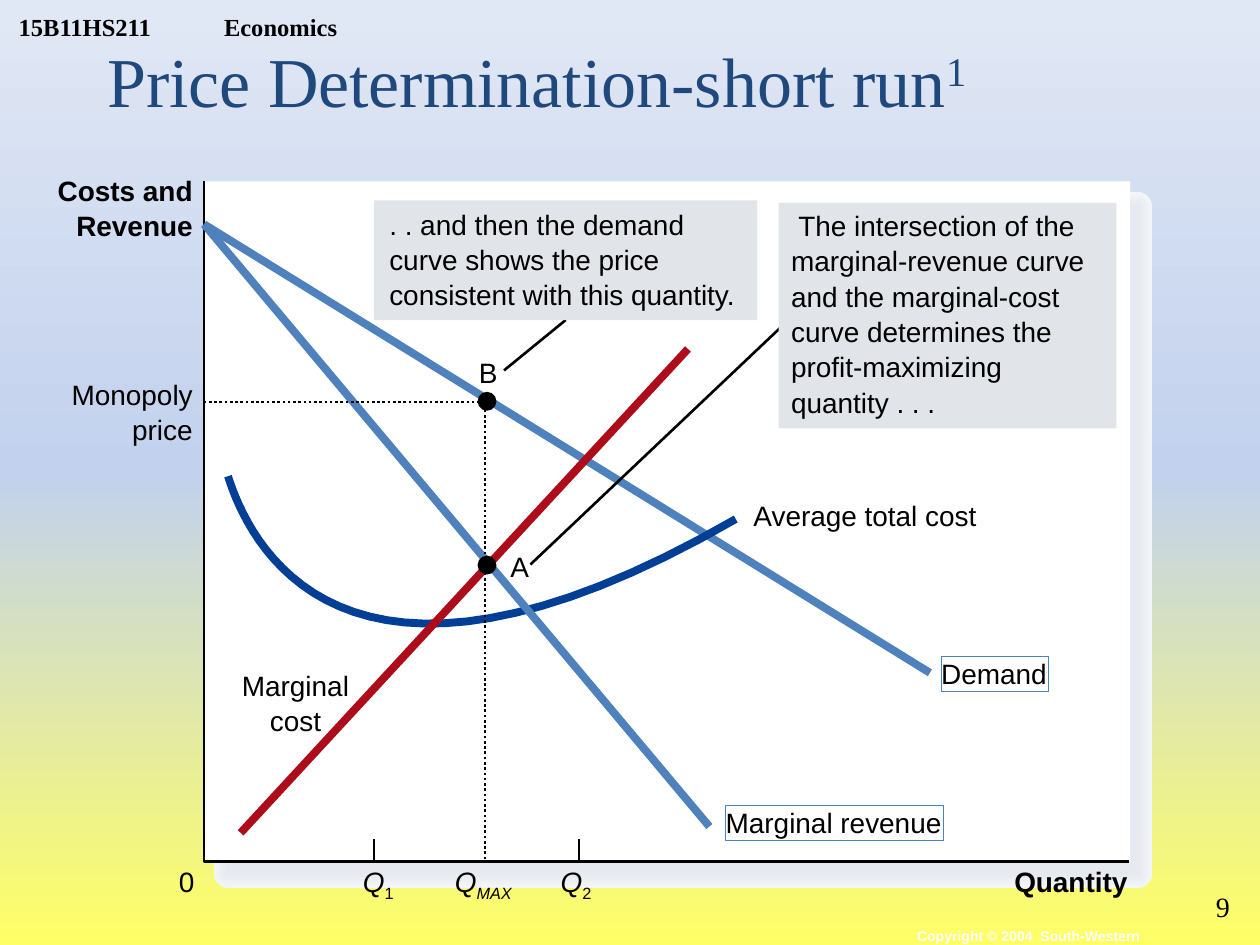
from copy import deepcopy

from lxml import etree
from pptx import Presentation
from pptx import util as u
from pptx.dml.color import RGBColor
from pptx.enum import dml, shapes, text
from pptx.oxml.ns import qn

COLORS = {
    "ink": "000000", "paper": "FFFFFF", "title": "1F497D", "callout": "E1E5E9",
    "revenue": "4F81BD", "total_cost": "003F95", "marginal_cost": "AD0D1B",
}
BACKGROUND = [(0, "FFFF66"), (50, "C2D1ED"), (100, "E1E8F5")]
SHADOW = ["F3F6F9", "F2F4F8", "F1F4F7", "F0F2F5", "EEF1F4", "EDEFF3",
          "EBEEF2", "EAECF1", "E9EBF0", "E7EAEF", "E6E9EF"]
COLUMNS, ROWS = 100, 75
LEFT, CENTER, RIGHT = text.PP_ALIGN.LEFT, text.PP_ALIGN.CENTER, text.PP_ALIGN.RIGHT
LABEL_HEIGHT, LINE_PITCH = 2.7, 20.2


class Board:
    """Style and current slide; positions are columns and rows of a grid."""

    sans, serif = "Arial", "Times New Roman"

    def __init__(self, presentation):
        self.slide = presentation.slides.add_slide(presentation.slide_layouts[5])
        self.column = presentation.slide_width / COLUMNS
        self.row = presentation.slide_height / ROWS

    def point(self, x, y):
        return round(x * self.column), round(y * self.row)

    def box(self, left, top, width, height):
        return self.point(left, top) + self.point(width, height)

    def color(self, name):
        return RGBColor.from_string(COLORS.get(name, name))

    def background(self, stops):
        fill = self.slide.background.fill
        fill.gradient()
        fill.gradient_angle = 90
        stop_list = self.slide.element.find(".//" + qn("a:gsLst"))
        stop_list.insert(1, deepcopy(stop_list[0]))
        for stop, (position, color) in zip(fill.gradient_stops, stops):
            stop.position = position / 100
            stop.color.rgb = self.color(color)

    def outline(self, line, color, width):
        line.color.rgb = self.color(color)
        line.width = u.Pt(width)

    def set_text(self, shape, lines, size=16, font=None, color="ink", bold=False,
                 italic=False, align=LEFT, margins=(0, 0, 0, 0), wrap=False, tab=None):
        frame = shape.text_frame
        frame.word_wrap = wrap
        frame.auto_size = text.MSO_AUTO_SIZE.NONE
        frame.vertical_anchor = text.MSO_ANCHOR.TOP
        (frame.margin_left, frame.margin_top,
         frame.margin_right, frame.margin_bottom) = map(u.Inches, margins)
        frame.text = lines
        for paragraph in frame.paragraphs:
            paragraph.alignment = align
            if tab:
                tabs = etree.SubElement(paragraph._p.get_or_add_pPr(), qn("a:tabLst"))
                etree.SubElement(tabs, qn("a:tab"), pos=str(u.Inches(tab)), algn="l")
            if wrap or len(frame.paragraphs) > 1:
                paragraph.line_spacing = u.Pt(LINE_PITCH)
            paragraph.font.name = font or self.sans
            paragraph.font.size = u.Pt(size)
            paragraph.font.bold = bold
            paragraph.font.italic = italic
            paragraph.font.color.rgb = self.color(color)
        return shape

    def shift(self, shape, characters, percent, italic=False):
        """Append a raised or lowered run to the first paragraph."""
        run = shape.text_frame.paragraphs[0].add_run()
        run.text = characters
        run.font.italic = italic
        run._r.get_or_add_rPr().set("baseline", str(percent * 1000))

    def title(self, lines, at, **style):
        shape = self.slide.shapes.title
        shape.left, shape.top, shape.width, shape.height = self.box(*at)
        return self.set_text(shape, lines, **style)

    def label(self, lines, left, top, width, height=LABEL_HEIGHT, border=None, **style):
        shape = self.slide.shapes.add_textbox(*self.box(left, top, width, height))
        if border:
            self.outline(shape.line, border, 0.75)
        return self.set_text(shape, lines, **style)

    def shape(self, kind, at, fill, line_width=0):
        shape = self.slide.shapes.add_shape(kind, *self.box(*at))
        shape.shadow.inherit = False
        shape.fill.solid()
        shape.fill.fore_color.rgb = self.color(fill)
        if line_width:
            self.outline(shape.line, fill, line_width)
        else:
            shape.line.fill.background()
        return shape

    def rectangle(self, at, fill, line_width=0):
        return self.shape(shapes.MSO_SHAPE.RECTANGLE, at, fill, line_width)

    def dot(self, x, y, size=1.5):
        at = (x - size / 2, y - size / 2, size, size)
        return self.shape(shapes.MSO_SHAPE.OVAL, at, "ink")

    def line(self, start, end, color="ink", width=1.5):
        connector = self.slide.shapes.add_connector(
            shapes.MSO_CONNECTOR.STRAIGHT, *self.point(*start), *self.point(*end))
        self.outline(connector.line, color, width)
        etree.SubElement(connector._element.spPr, qn("a:effectLst"))
        return connector

    def polyline(self, points, color="ink", width=1.5, dash=None):
        start, *rest = [self.point(*point) for point in points]
        builder = self.slide.shapes.build_freeform(*start)
        builder.add_line_segments(rest, close=False)
        shape = builder.convert_to_shape()
        shape.shadow.inherit = False
        shape.fill.background()
        self.outline(shape.line, color, width)
        if dash:
            shape.line.dash_style = dash

    def curve(self, controls, color, width, steps=32):
        def position(t):
            weights = ((1 - t) ** 3, 3 * t * (1 - t) ** 2, 3 * t * t * (1 - t), t ** 3)
            return tuple(sum(w * c[axis] for w, c in zip(weights, controls))
                         for axis in (0, 1))
        self.polyline([position(i / steps) for i in range(steps + 1)], color, width)

    def callout(self, lines, at, margins):
        return self.set_text(self.rectangle(at, "callout"), lines, margins=margins, wrap=True)


def main():
    presentation = Presentation()
    presentation.slide_width, presentation.slide_height = u.Inches(10), u.Inches(7.5)
    board = Board(presentation)
    board.background(BACKGROUND)

    # Title, header and footer
    title = board.title("Price Determination-short run", (7.5, 2.5, 74.2, 7.7), size=40,
                        font=board.serif, color="title", margins=(0.1, 0.05, 0.1, 0.05))
    board.shift(title, "1", 30)
    header = board.label("15B11HS211\tEconomics", 0.5, 0, 32, 3.3, size=14, bold=True,
                         font=board.serif, margins=(0.1, 0, 0.1, 0), tab=1.63)
    header.text_frame.vertical_anchor = text.MSO_ANCHOR.BOTTOM
    board.label("Copyright © 2004  South-Western", 71.8, 73.1, 19.7, 2.3, size=8,
                color="paper", bold=True, margins=(0.1, 0.05, 0.1, 0.05))
    board.label("9", 94.6, 70.1, 4, 4, font=board.serif, align=RIGHT,
                margins=(0.1, 0.05, 0.1, 0.05))

    # Chart panel with its soft shadow
    for step, color in enumerate(SHADOW):
        board.rectangle((18.1, 16.4, 72.2, 52.9), color, 16.5 - 1.5 * step)
    board.rectangle((16.2, 14.4, 73.5, 53.9), "paper")

    # Axes
    board.polyline([(16.2, 14.4), (16.2, 68.4), (89.6, 68.4)])
    for x in (29.7, 45.95):
        board.line((x, 66.6), (x, 68.3))
    board.label("Costs and\nRevenue", 4.6, 13.6, 10.7, 5.6, bold=True, align=RIGHT)
    board.label("Quantity", 80.5, 68.6, 9, bold=True)
    board.label("0", 14.2, 68.6, 1.2)
    for x, width, subscript in ((28.8, 2.7, "1"), (36.1, 5.1, "MAX"), (44.5, 2.7, "2")):
        quantity = board.label("Q", x, 68.6, width, italic=True)
        board.shift(quantity, subscript, -25, italic=subscript.isalpha())

    # Curves
    intercept = (16.2, 17.8)
    board.line(intercept, (73.8, 53.4), "revenue", 4.5)
    board.label("Demand", 74.7, 52.1, 8.5, 2.8, border="revenue")
    board.curve([(18.1, 37.8), (19.6, 42.5), (26.7, 59.5), (58.4, 41.2)],
                "total_cost", 4.5)
    board.label("Average total cost", 59.8, 39.6, 17.8)
    board.line(intercept, (56.3, 65.6), "revenue", 4.5)
    board.label("Marginal revenue", 57.6, 63.9, 17.3, 2.8, border="revenue")
    board.line((54.6, 27.7), (19.1, 66.1), "marginal_cost", 4.5)
    board.label("Marginal\ncost", 19.2, 52.9, 8.5, 5.6, align=CENTER)

    # Monopoly price and quantity
    board.polyline([(38.5, 68.2), (38.5, 31.9), (16.2, 31.9)],
                   dash=dml.MSO_LINE.ROUND_DOT)
    board.label("Monopoly\nprice", 5.7, 29.8, 9.6, 5.6, align=RIGHT)
    board.dot(38.65, 31.85)
    board.label("B", 38, 28.2, 1.5)

    # Callouts
    board.line((42.1, 44.8), (63, 25))
    board.callout(" The intersection of the marginal-revenue curve and the "
                  "marginal-cost curve determines the profit-maximizing quantity . . .",
                  (61.8, 16.1, 26.8, 17.9), (0.1, 0.03, 0.1, 0))
    board.dot(38.65, 44.85)
    board.label("A", 40.5, 43.6, 1.5)
    leader = board.line((40, 29.4), (44.7, 25))
    demand_note = board.callout(". . and then the demand curve shows the price "
                                "consistent with this quantity.",
                                (29.7, 15.9, 30.4, 9.5), (0.12, 0.04, 0.1, 0))
    leader.end_connect(demand_note, 2)

    presentation.save("out.pptx")


if __name__ == "__main__":
    main()
